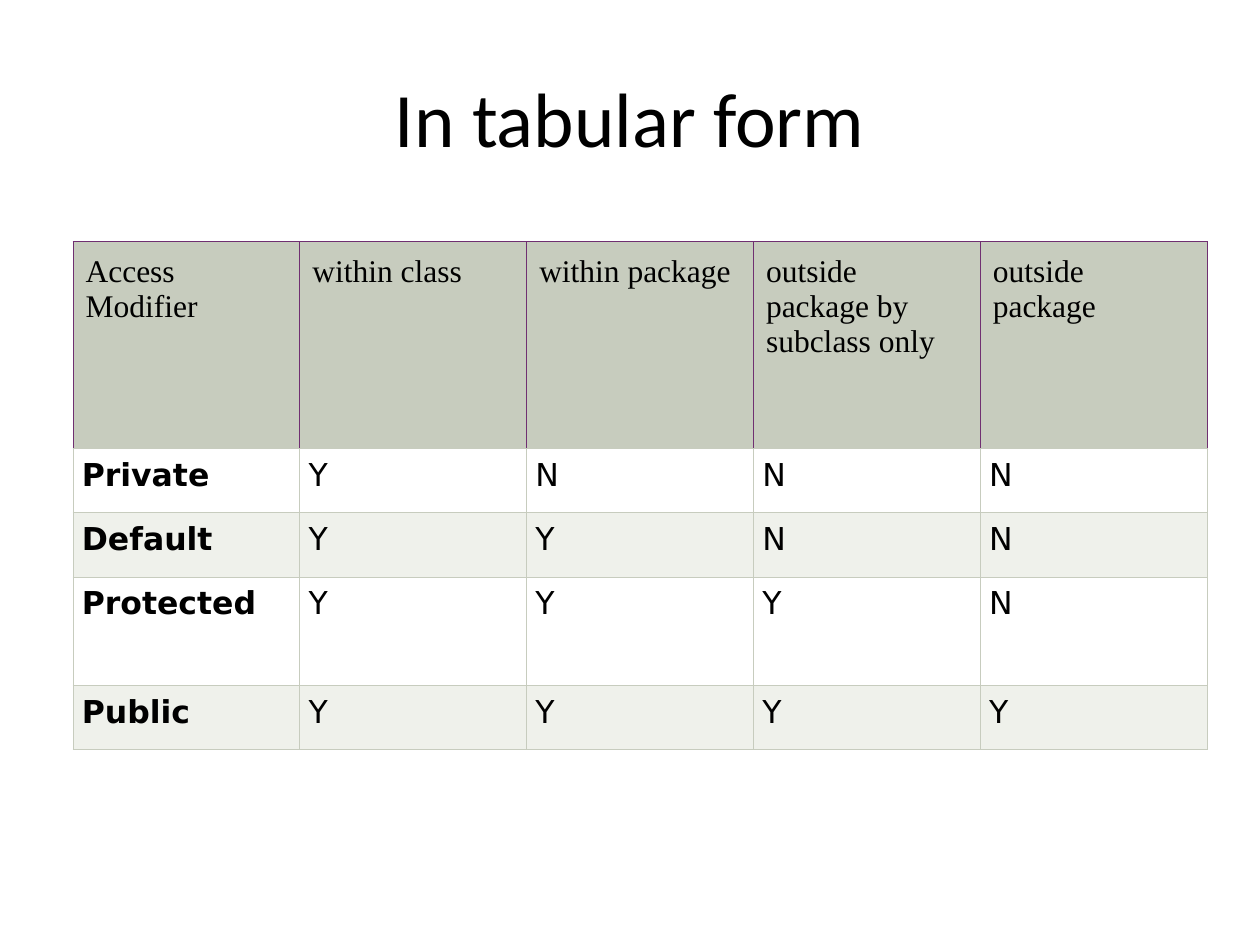
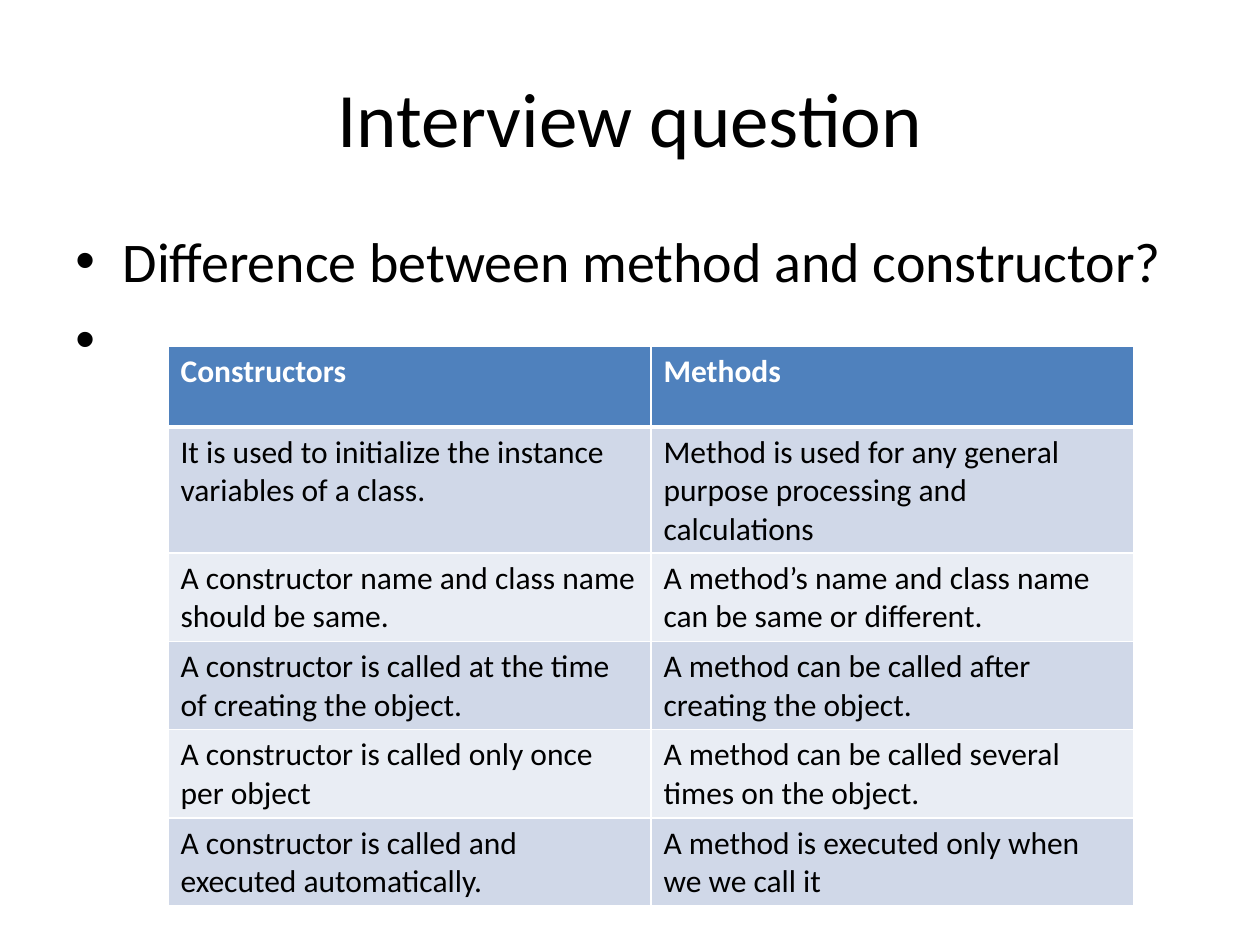
from lxml import etree
from pptx import Presentation
from pptx.dml.color import RGBColor
from pptx.enum import text
from pptx.oxml import ns
from pptx.util import Pt

BLACK = RGBColor(0x00, 0x00, 0x00)
WHITE = RGBColor(0xFF, 0xFF, 0xFF)
SAGE = RGBColor(0xC7, 0xCC, 0xBE)
PALE_SAGE = RGBColor(0xEF, 0xF1, 0xEB)
PURPLE = RGBColor(0x70, 0x2F, 0x71)
BLUE = RGBColor(0x4F, 0x81, 0xBD)
LIGHT_BLUE = RGBColor(0xD0, 0xD8, 0xE8)
PALE_BLUE = RGBColor(0xE9, 0xED, 0xF4)

ACCESS = {
    "title": "In tabular form",
    "bullets": [],
    "rows": [
        ("Access Modifier", "within class", "within package",
         "outside package by subclass only", "outside package"),
        ("Private", "Y", "N", "N", "N"),
        ("Default", "Y", "Y", "N", "N"),
        ("Protected", "Y", "Y", "Y", "N"),
        ("Public", "Y", "Y", "Y", "Y"),
    ],
    "left": 41.76, "top": 138.24, "col_width": 129.6,
    "heights": [118.08, 36.72, 36.72, 61.92, 36.72],
    "header": {"font": "Times New Roman", "color": BLACK, "fill": SAGE, "bold": False,
               "margins": (7.2, 7.2)},
    "body": {"font": "DejaVu Sans", "color": BLACK, "fills": (WHITE, PALE_SAGE),
             "bold_first": True, "margins": (5.04, 5.04)},
    "header_edge": (PURPLE, 0.6), "header_rule": (SAGE, 0.6), "edge": (SAGE, 0.6),
}
CONSTRUCTORS = {
    "title": "Interview question",
    "bullets": ["Difference between method and constructor?", " "],
    "rows": [
        ("Constructors", "Methods"),
        ("It is used to initialize the instance variables of a class.",
         "Method is used for any general purpose processing and calculations"),
        ("A constructor name and class name should be same.",
         "A method’s name and class name can be same or different."),
        ("A constructor is called at the time of creating the object.",
         "A method can be called after creating the object."),
        ("A constructor is called only once per object",
         "A method can be called several times on the object."),
        ("A constructor is called and executed automatically.",
         "A method is executed only when we we call it"),
    ],
    "left": 96, "top": 198, "col_width": 276,
    "heights": [46] * 6,
    "header": {"font": "Calibri", "color": WHITE, "fill": BLUE, "bold": True,
               "margins": (7.2, 3.6)},
    "body": {"font": "Calibri", "color": BLACK, "fills": (LIGHT_BLUE, PALE_BLUE),
             "bold_first": False, "margins": (7.2, 3.6)},
    "header_edge": (WHITE, 1), "header_rule": (WHITE, 3), "edge": (WHITE, 1),
}


def style(p, font, size, color, bold=False):
    for r in p.runs:
        r.font.name = font
        r.font.size = Pt(size)
        r.font.color.rgb = color
        r.font.bold = bold


def add_box(s, left, top, width, height, lines, size):
    tf = s.shapes.add_textbox(Pt(left), Pt(top), Pt(width), Pt(height)).text_frame
    tf.word_wrap = True
    tf.text = "\n".join(lines)
    for p in tf.paragraphs:
        style(p, "Calibri", size, BLACK)
    return tf


def add_title(s, title):
    tf = add_box(s, 36, 21.6, 648, 90, [title], 44)
    tf.vertical_anchor = text.MSO_ANCHOR.MIDDLE
    tf.paragraphs[0].alignment = text.PP_ALIGN.CENTER


def add_bullets(s, lines):
    tf = add_box(s, 36, 126, 648, 356.4, lines, 32)
    for p in tf.paragraphs:
        p.space_before = Pt(6.4)
        pPr = p._p.get_or_add_pPr()
        pPr.set("marL", str(Pt(27)))
        pPr.set("indent", str(-Pt(27)))
        etree.SubElement(pPr, ns.qn("a:buFont")).set("typeface", "Arial")
        etree.SubElement(pPr, ns.qn("a:buChar")).set("char", "•")


def set_borders(cell, edges):
    tcPr = cell._tc.get_or_add_tcPr()
    for side, (color, width) in zip("LRTB", edges):
        ln = etree.SubElement(tcPr, ns.qn(f"a:ln{side}"), w=str(Pt(width)))
        fill = etree.SubElement(ln, ns.qn("a:solidFill"))
        etree.SubElement(fill, ns.qn("a:srgbClr")).set("val", str(color))


def add_grid(s, spec):
    rows, heights = spec["rows"], spec["heights"]
    columns = len(rows[0])
    table = s.shapes.add_table(len(rows), columns, Pt(spec["left"]), Pt(spec["top"]),
                               Pt(spec["col_width"] * columns), Pt(sum(heights))).table
    table.first_row = table.horz_banding = False
    for column in table.columns:
        column.width = Pt(spec["col_width"])
    for i, (row, height) in enumerate(zip(rows, heights)):
        table.rows[i].height = Pt(height)
        look = spec["body"] if i else spec["header"]
        edge = spec["edge"] if i else spec["header_edge"]
        top = spec["header_rule"] if i == 1 else edge
        bottom = edge if i else spec["header_rule"]
        fill = look["fills"][(i - 1) % 2] if i else look["fill"]
        side, end = look["margins"]
        for j, words in enumerate(row):
            cell = table.cell(i, j)
            cell.text = words
            cell.margin_left = cell.margin_right = Pt(side)
            cell.margin_top = cell.margin_bottom = Pt(end)
            set_borders(cell, (edge, edge, top, bottom))
            cell.fill.solid()
            cell.fill.fore_color.rgb = fill
            bold = look["bold_first"] and j == 0 if i else look["bold"]
            style(cell.text_frame.paragraphs[0], look["font"], 18, look["color"], bold)


def main():
    prs = Presentation()
    prs.slide_width, prs.slide_height = Pt(720), Pt(540)
    for spec in (ACCESS, CONSTRUCTORS):
        s = prs.slides.add_slide(prs.slide_layouts[6])
        add_title(s, spec["title"])
        if spec["bullets"]:
            add_bullets(s, spec["bullets"])
        add_grid(s, spec)
    prs.save("out.pptx")


if __name__ == "__main__":
    main()
